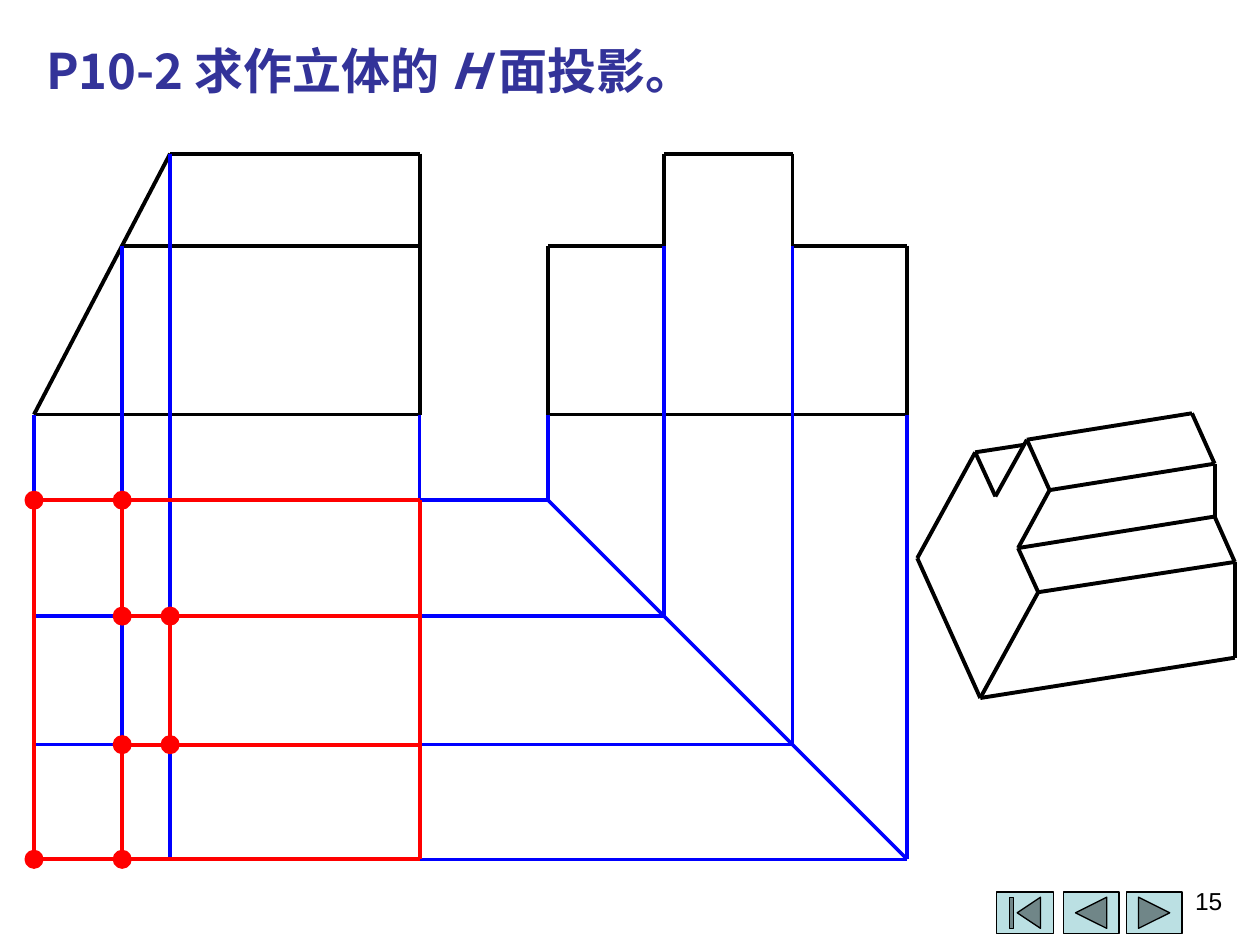
from lxml.etree import SubElement as sub
from pptx import Presentation
from pptx.dml.color import RGBColor as RGB
from pptx.enum.shapes import MSO_CONNECTOR as CON, MSO_SHAPE as SHAPE
from pptx.enum.text import MSO_AUTO_SIZE as AUTO, PP_ALIGN as ALIGN
from pptx.oxml.ns import qn
from pptx.util import Inches, Pt

HEX = {"edge": "000000", "guide": "0000FF", "plan": "FF0000",
       "title": "333399", "button": "BBE0E3"}
WIDTH = {"edge": 2.25, "guide": 0, "plan": 2.25}
TITLE = {"name": "Noto Sans CJK SC", "size": Pt(28), "bold": True}
NUMBER = {"name": "Arial", "size": Pt(14)}

# Front view: x of the left foot, step, top corner and right side
FOOT, STEP, PEAK, END = 0.27, 0.97, 1.35, 3.33
# Heights shared by the front and side views
TOP, MID, BASE = 1.22, 1.95, 3.29
# Side view: x of its four uprights; the 45° line carries them to the plan
SIDE = [4.35, 5.27, 6.29, 7.2]
PLAN = [round(x - 0.38, 2) for x in SIDE]

# Corners of the pictorial view
SOLID = {
    "a": (7.74, 3.59), "b": (8.13, 3.53), "c": (8.15, 3.49),
    "d": (9.46, 3.28), "e": (9.64, 3.68), "f": (8.33, 3.89),
    "g": (8.08, 4.35), "h": (9.64, 4.1), "i": (9.8, 4.46),
    "j": (8.24, 4.7), "k": (9.8, 5.22), "l": (7.78, 5.54),
    "m": (7.28, 4.43), "n": (7.9, 3.94),
}
SOLID_PATHS = ["lmanc", "ab", "cdehik", "cfgjl", "fe", "gh", "ji", "kl"]


def inches(*nums):
    return [Inches(n) for n in nums]


def add_line(shapes, kind, start, end):
    line = shapes.add_connector(CON.STRAIGHT, *inches(*start, *end))
    line.line.color.rgb = RGB.from_string(HEX[kind])
    line.line.width = Pt(WIDTH[kind])
    sub(line._element.spPr, qn("a:effectLst"))


def add_path(shapes, kind, *points):
    """Join the points in turn with separate lines."""
    for start, end in zip(points, points[1:]):
        add_line(shapes, kind, start, end)


def add_solid(shapes, preset, box, fill, edge, width):
    shape = shapes.add_shape(preset, *inches(*box))
    shape.shadow.inherit = False
    shape.fill.solid()
    shape.fill.fore_color.rgb = RGB.from_string(HEX[fill])
    shape.line.color.rgb = RGB.from_string(HEX[edge])
    shape.line.width = Pt(width)


def add_dot(shapes, x, y):
    size = 0.12
    box = (x - size / 2, y - size / 2, size, size)
    add_solid(shapes, SHAPE.OVAL, box, "plan", "plan", 2.25)


def add_text(shapes, box, runs, style, color, align=ALIGN.LEFT):
    """Add a one-line box; runs are pairs of text and italic."""
    frame = shapes.add_textbox(*inches(*box)).text_frame
    frame.word_wrap = True
    frame.auto_size = AUTO.NONE
    para = frame.paragraphs[0]
    para.alignment = align
    for text, italic in runs:
        run = para.add_run()
        run.text = text
        for key, value in style.items():
            setattr(run.font, key, value)
        run.font.italic = italic
        run.font.color.rgb = RGB.from_string(HEX[color])
        if style is TITLE:
            sub(run.font._element, qn("a:ea"), typeface=style["name"])


def add_buttons(shapes):
    for preset, left, width in [
            (SHAPE.ACTION_BUTTON_FORWARD_OR_NEXT, 8.94, 0.44),
            (SHAPE.ACTION_BUTTON_BACK_OR_PREVIOUS, 8.44, 0.44),
            (SHAPE.ACTION_BUTTON_BEGINNING, 7.91, 0.45)]:
        add_solid(shapes, preset, (left, 7.08, width, 0.33),
                  "button", "edge", 0.75)


def add_views(shapes):
    add_path(shapes, "edge", (END, BASE), (FOOT, BASE), (PEAK, TOP),
             (END, TOP), (END, BASE))
    add_line(shapes, "edge", (STEP, MID), (END, MID))
    x1, x2, x3, x4 = SIDE
    add_path(shapes, "edge", (x1, BASE), (x1, MID), (x2, MID), (x2, TOP),
             (x3, TOP), (x3, MID), (x4, MID), (x4, BASE), (x1, BASE))


def add_pictorial(shapes):
    group = shapes.add_group_shape()
    for names in SOLID_PATHS:
        add_path(group.shapes, "edge", *[SOLID[n] for n in names])


def add_guides(shapes):
    for x, y in [(FOOT, BASE), (STEP, MID), (PEAK, TOP), (END, BASE)]:
        add_line(shapes, "guide", (x, y), (x, PLAN[-1]))
    for x, y, top in zip(SIDE, PLAN, [BASE, MID, MID, BASE]):
        add_path(shapes, "guide", (x, top), (x, y), (FOOT, y))
    add_line(shapes, "guide", (SIDE[0], PLAN[0]), (SIDE[-1], PLAN[-1]))


def add_plan(shapes):
    y1, y2, y3, y4 = PLAN
    add_path(shapes, "plan", (FOOT, y1), (END, y1), (END, y4),
             (FOOT, y4), (FOOT, y1))
    add_path(shapes, "plan", (STEP, y1), (STEP, y2), (PEAK, y2),
             (PEAK, y3), (STEP, y3), (STEP, y4))
    for y in (y2, y3):
        add_line(shapes, "plan", (PEAK, y), (END, y))
    for x, rows in [(FOOT, (y1, y4)), (STEP, PLAN), (PEAK, (y2, y3))]:
        for y in rows:
            add_dot(shapes, x, y)


def main():
    deck = Presentation()
    deck.slide_width, deck.slide_height = inches(10, 7.5)
    shapes = deck.slides.add_slide(deck.slide_layouts[6]).shapes
    add_buttons(shapes)
    add_text(shapes, (0.27, 0.27, 9.53, 0.57),
             [("P10-2 求作立体的 ", False), ("H ", True), ("面投影。", False)],
             TITLE, "title")
    add_views(shapes)
    add_pictorial(shapes)
    add_guides(shapes)
    add_plan(shapes)
    add_text(shapes, (7.47, 6.98, 2.33, 0.52), [("15", False)],
             NUMBER, "edge", ALIGN.RIGHT)
    deck.save("out.pptx")


if __name__ == "__main__":
    main()
